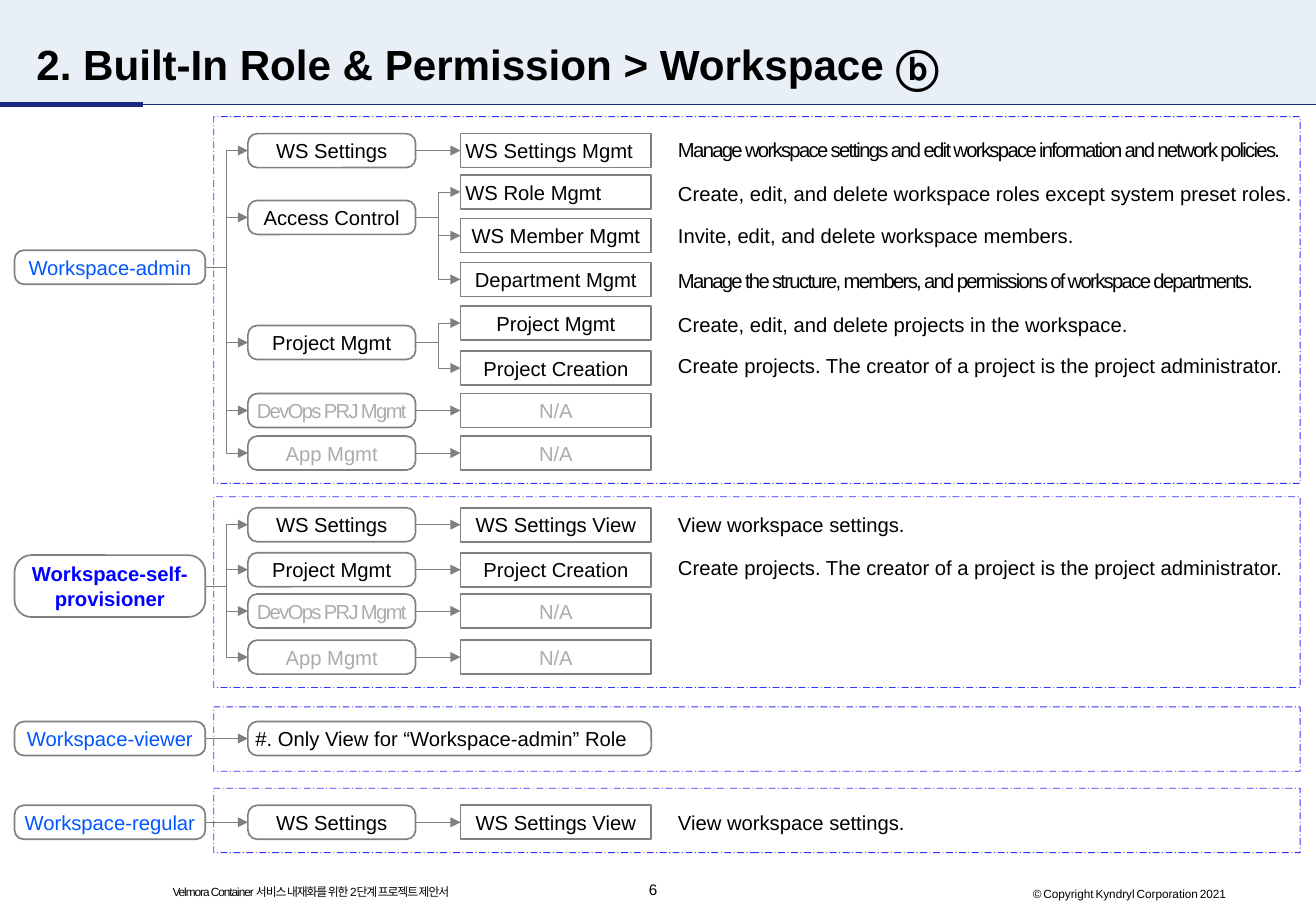
from dataclasses import dataclass

from lxml.etree import SubElement
from pptx import Presentation
from pptx.dml.color import RGBColor
from pptx.enum.dml import MSO_LINE
from pptx.enum.shapes import MSO_CONNECTOR, MSO_SHAPE
from pptx.enum.text import MSO_ANCHOR, MSO_AUTO_SIZE, PP_ALIGN
from pptx.oxml.ns import qn
from pptx.shapes.autoshape import Shape
from pptx.shapes.connector import Connector
from pptx.text.text import _Run
from pptx.util import Inches, Length, Pt

BLACK = RGBColor(0x00, 0x00, 0x00)
MUTED = RGBColor(0xAF, 0xAB, 0xAB)
GREY = RGBColor(0x80, 0x80, 0x80)
ROLE_BLUE = RGBColor(0x00, 0x55, 0xFE)
PURE_BLUE = RGBColor(0x00, 0x00, 0xFF)
NAVY = RGBColor(0x1C, 0x28, 0x80)
HEADER_FILL = RGBColor(0xE9, 0xEF, 0xF7)

# The grid has square cells of a tenth of an inch.
SLIDE_COLUMNS, SLIDE_ROWS = 108.3, 75
HEADER_ROWS = 8.6
BOX_ROWS = 2.8
ROUND, SQUARE = 0.273, 0
TIGHT = -1


@dataclass(frozen=True)
class Column:
    left: float
    width: float


ROLES = Column(1.2, 15.7)
AREAS = Column(20.4, 13.8)
PERMISSIONS = Column(37.9, 15.7)
DESCRIPTIONS = Column(55.8, 52)
PANELS = Column(17.6, 89.4)
VIEWER_NOTE = Column(AREAS.left, PERMISSIONS.left + PERMISSIONS.width - AREAS.left)


@dataclass(frozen=True)
class Permission:
    label: str
    row: float
    description: str = ""
    description_row: float = 0
    spacing: float = 0
    align: PP_ALIGN = PP_ALIGN.CENTER


@dataclass(frozen=True)
class Area:
    label: str
    row: float
    permissions: tuple[Permission, ...] = ()
    column: Column = AREAS
    color: RGBColor = BLACK
    spacing: float = 0
    align: PP_ALIGN = PP_ALIGN.CENTER


@dataclass(frozen=True)
class Role:
    label: str
    row: float
    panel_row: float
    panel_rows: float
    areas: tuple[Area, ...]
    rows: float = BOX_ROWS
    color: RGBColor = ROLE_BLUE
    bold: bool = False


def unavailable(devops_row: float, app_row: float) -> tuple[Area, Area]:
    """Return the two greyed-out areas that grant nothing."""
    return (
        Area("DevOps PRJ Mgmt", devops_row, (Permission("N/A", devops_row),), color=MUTED, spacing=TIGHT),
        Area("App Mgmt", app_row, (Permission("N/A", app_row),), color=MUTED),
    )


CREATE_PROJECTS = "Create projects. The creator of a project is the project administrator."
VIEW_SETTINGS = "View workspace settings."

ROLE_TREE = (
    Role("Workspace-admin", 20.6, 9.6, 30.2, (
        Area("WS Settings", 11, (
            Permission("WS Settings Mgmt", 11, "Manage workspace settings and edit workspace "
                       "information and network policies.", 11.3, TIGHT, PP_ALIGN.LEFT),)),
        Area("Access Control", 16.5, (
            Permission("WS Role Mgmt", 14.4, "Create, edit, and delete workspace roles except "
                       "system preset roles.", 14.9, align=PP_ALIGN.LEFT),
            Permission("WS Member Mgmt", 18, "Invite, edit, and delete workspace members.", 18.4),
            Permission("Department Mgmt", 21.6, "Manage the structure, members, and permissions "
                       "of workspace departments.", 22.1, TIGHT))),
        Area("Project Mgmt", 26.8, (
            Permission("Project Mgmt", 25.2, "Create, edit, and delete projects in the workspace.", 25.7),
            Permission("Project Creation", 28.9, CREATE_PROJECTS, 29.1))),
        *unavailable(32.4, 35.9))),
    Role("Workspace-self-provisioner", 45.7, 40.9, 15.7, (
        Area("WS Settings", 41.8, (Permission("WS Settings View", 41.8, VIEW_SETTINGS, 42.2),)),
        Area("Project Mgmt", 45.5, (Permission("Project Creation", 45.5, CREATE_PROJECTS, 45.7),)),
        *unavailable(48.9, 52.7)), 5.1, PURE_BLUE, True),
    Role("Workspace-viewer", 59.4, 58.2, 5.3, (
        Area("#. Only View for “Workspace-admin” Role", 59.4, column=VIEWER_NOTE, align=PP_ALIGN.LEFT),)),
    Role("Workspace-regular", 66.3, 64.9, 5.3, (
        Area("WS Settings", 66.3, (Permission("WS Settings View", 66.3, VIEW_SETTINGS, 66.7),)),)),
)
COPYRIGHT = "© Copyright Kyndryl Corporation 2021"


def cells(count: float) -> Length:
    return Inches(count / 10)


def format_run(run: _Run, size: float, color: RGBColor = BLACK, bold: bool = False, spacing: float = 0) -> None:
    run.font.name, run.font.size, run.font.bold = "Arial", Pt(size), bold
    run.font.color.rgb = color
    if spacing:
        run.font._element.set("spc", str(round(spacing * 100)))


def set_margins(shape: Shape, margin: float) -> None:
    frame = shape.text_frame
    frame.margin_left = frame.margin_right = frame.margin_top = frame.margin_bottom = cells(margin)


def add_text(column: Column, row: float, rows: float, text: str, size: float, *, bold: bool = False,
             spacing: float = 0, wrap: bool = True, grow: bool = True,
             anchor: MSO_ANCHOR = MSO_ANCHOR.MIDDLE) -> Shape:
    box = slide.shapes.add_textbox(cells(column.left), cells(row), cells(column.width), cells(rows))
    set_margins(box, 0)
    frame = box.text_frame
    frame.text = text
    frame.word_wrap, frame.vertical_anchor = wrap, anchor
    frame.auto_size = MSO_AUTO_SIZE.SHAPE_TO_FIT_TEXT if grow else MSO_AUTO_SIZE.NONE
    format_run(frame.paragraphs[0].runs[0], size, bold=bold, spacing=spacing)
    return box


def add_box(column: Column, row: float, label: str, corner: float, *, rows: float = BOX_ROWS,
            color: RGBColor = BLACK, bold: bool = False, spacing: float = 0,
            align: PP_ALIGN = PP_ALIGN.CENTER) -> Shape:
    box = slide.shapes.add_shape(MSO_SHAPE.ROUNDED_RECTANGLE, cells(column.left), cells(row),
                                 cells(column.width), cells(rows))
    box.adjustments[0] = corner
    box.shadow.inherit = False
    box.fill.background()
    box.line.color.rgb, box.line.width = GREY, Pt(1)
    set_margins(box, 0.4)
    frame = box.text_frame
    frame.text = label
    frame.word_wrap, frame.vertical_anchor = True, MSO_ANCHOR.MIDDLE
    frame.paragraphs[0].alignment = align
    format_run(frame.paragraphs[0].runs[0], 12, color, bold, spacing)
    return box


def add_line(kind: MSO_CONNECTOR, start: tuple[int, int], end: tuple[int, int],
             color: RGBColor, width: float) -> Connector:
    line = slide.shapes.add_connector(kind, *start, *end)
    line.line.color.rgb, line.line.width = color, Pt(width)
    SubElement(line._element.spPr, qn("a:effectLst"))
    return line


def add_arrow(source: Shape, target: Shape) -> None:
    """Join the right side of source to the left side of target."""
    start = source.left + source.width, source.top + source.height // 2
    end = target.left, target.top + target.height // 2
    kind = MSO_CONNECTOR.STRAIGHT if start[1] == end[1] else MSO_CONNECTOR.ELBOW
    arrow = add_line(kind, start, end, GREY, 0.25)
    arrow.begin_connect(source, 3)
    arrow.end_connect(target, 1)
    SubElement(arrow.line._get_or_add_ln(), qn("a:tailEnd"), type="triangle")


def add_panel(row: float, rows: float) -> None:
    panel = slide.shapes.add_shape(MSO_SHAPE.RECTANGLE, cells(PANELS.left), cells(row),
                                   cells(PANELS.width), cells(rows))
    panel.shadow.inherit = False
    panel.fill.background()
    panel.line.color.rgb, panel.line.width = PURE_BLUE, Pt(0.5)
    panel.line.dash_style = MSO_LINE.LONG_DASH_DOT
    color = panel.line._get_or_add_ln().find(".//" + qn("a:srgbClr"))
    SubElement(color, qn("a:alpha"), val="80000")


def add_header_and_footer() -> None:
    band = slide.shapes.add_shape(MSO_SHAPE.RECTANGLE, 0, 0, cells(SLIDE_COLUMNS), cells(HEADER_ROWS))
    band.shadow.inherit = False
    band.fill.solid()
    band.fill.fore_color.rgb = HEADER_FILL
    band.line.fill.background()
    for columns, width in ((SLIDE_COLUMNS, 1), (11.8, 3)):
        add_line(MSO_CONNECTOR.STRAIGHT, (0, cells(HEADER_ROWS)), (cells(columns), cells(HEADER_ROWS)), NAVY, width)
    add_text(Column(3, 102.3), 3.4, 3.7, "2. Built-In Role & Permission > Workspace ⓑ", 25, bold=True, grow=False)
    add_text(Column(53.4, 1.5), 72.5, 1.5, "6", 9, wrap=False)
    add_text(Column(14.2, 25), 72.8, 1.2, "Velmora Container 서비스 내재화를 위한 2단계 프로젝트 제안서", 7,
             spacing=-0.6, wrap=False)
    first_word, *words = COPYRIGHT.split()
    notice = add_text(Column(85, 16.1), 73, 1.2, first_word, 7, wrap=False).text_frame.paragraphs[0]
    for word in words:
        for text, size in ((" ", 4), (word, 7)):
            run = notice.add_run()
            run.text = text
            format_run(run, size)


def add_role(role: Role) -> None:
    role_box = add_box(ROLES, role.row, role.label, ROUND, rows=role.rows, color=role.color, bold=role.bold)
    for area in role.areas:
        area_box = add_box(area.column, area.row, area.label, ROUND, color=area.color,
                           spacing=area.spacing, align=area.align)
        add_arrow(role_box, area_box)
        for permission in area.permissions:
            permission_box = add_box(PERMISSIONS, permission.row, permission.label, SQUARE,
                                     color=area.color, align=permission.align)
            add_arrow(area_box, permission_box)
            if permission.description:
                add_text(DESCRIPTIONS, permission.description_row, 2, permission.description, 12,
                         spacing=permission.spacing, anchor=MSO_ANCHOR.TOP)
    add_panel(role.panel_row, role.panel_rows)


presentation = Presentation()
presentation.slide_width, presentation.slide_height = cells(SLIDE_COLUMNS), cells(SLIDE_ROWS)
slide = presentation.slides.add_slide(presentation.slide_layouts[6])
add_header_and_footer()
for workspace_role in ROLE_TREE:
    add_role(workspace_role)
presentation.save("out.pptx")
